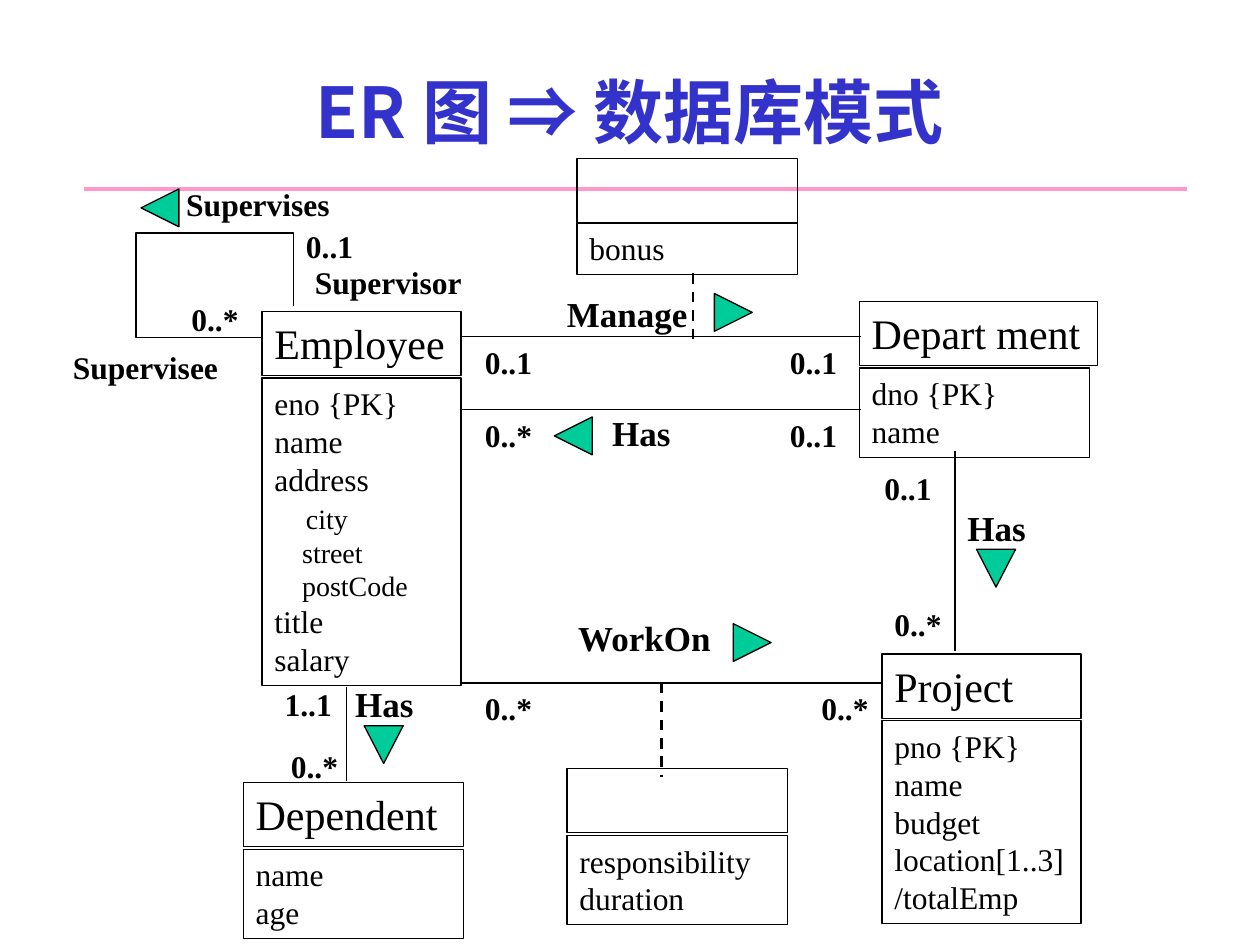
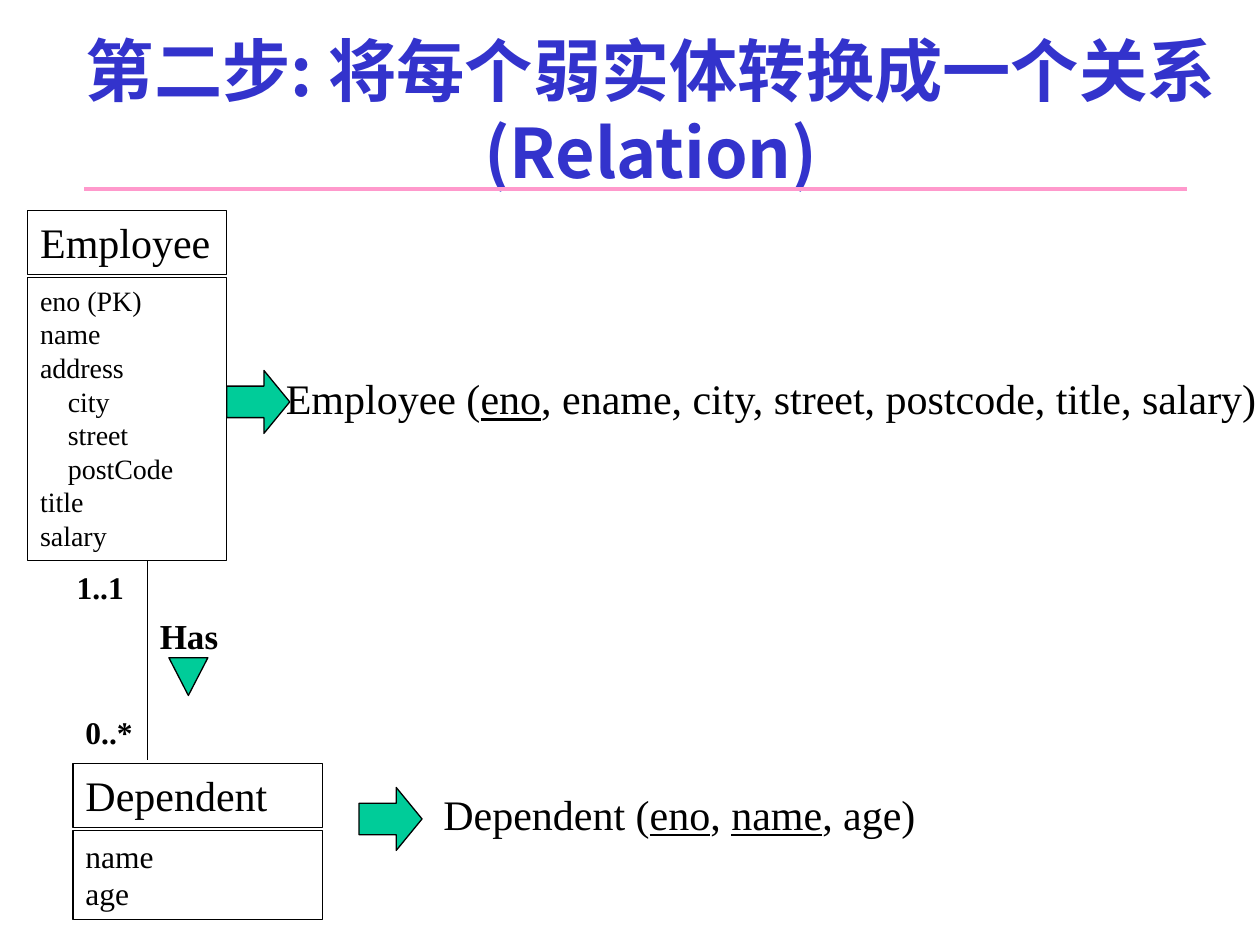
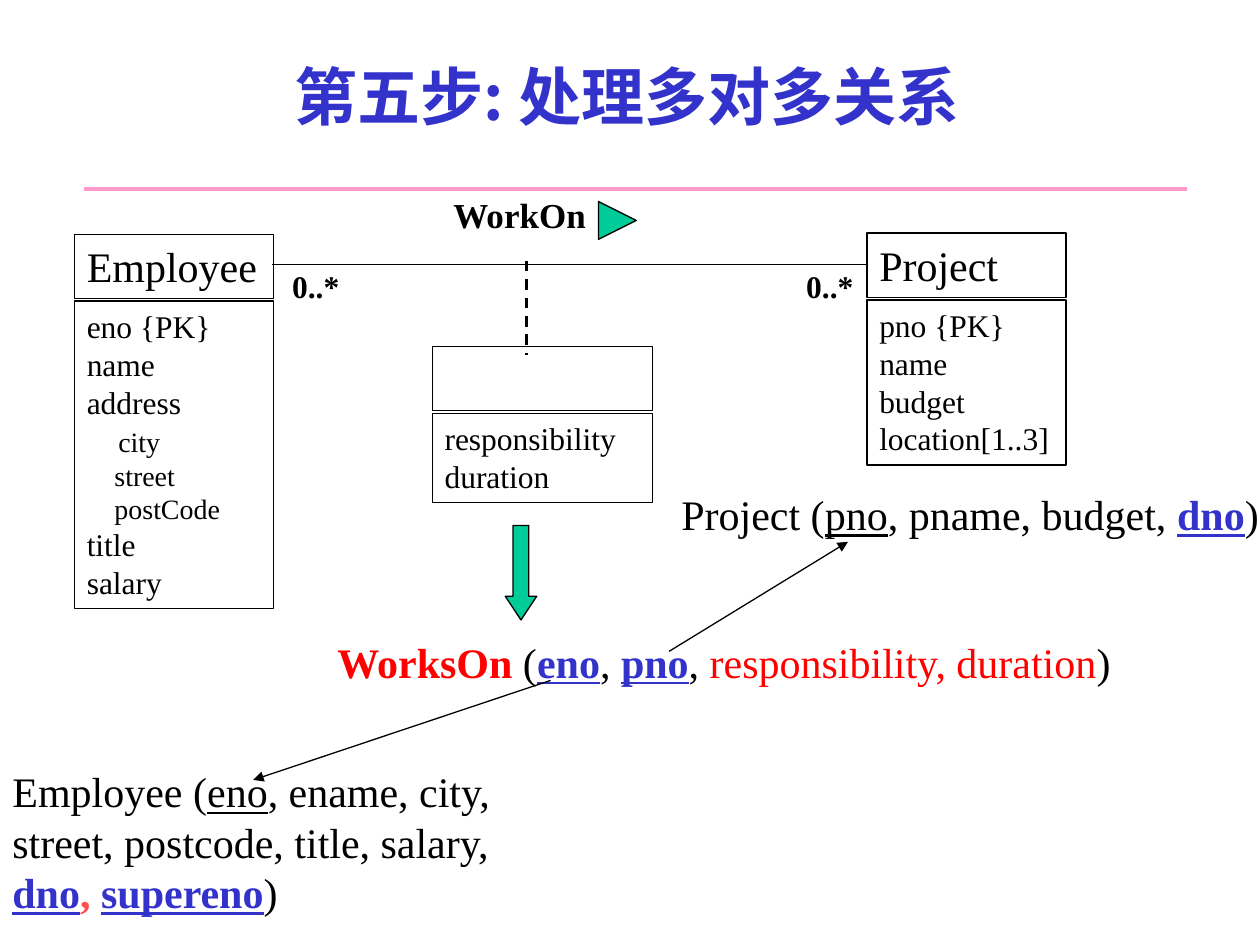
from lxml import etree
from pptx import Presentation
from pptx.dml.color import RGBColor
from pptx.enum.dml import MSO_LINE
from pptx.enum.shapes import MSO_CONNECTOR, MSO_SHAPE
from pptx.enum.text import MSO_ANCHOR, MSO_AUTO_SIZE, PP_ALIGN
from pptx.oxml.ns import qn
from pptx.util import Emu, Pt

PX = 9144
BLACK = RGBColor(0x00, 0x00, 0x00)
BLUE = RGBColor(0x33, 0x33, 0xCC)
PINK = RGBColor(0xFF, 0x99, 0xCC)
GREEN = RGBColor(0x00, 0xCC, 0x99)
RED = RGBColor(0xFF, 0x00, 0x00)
CORAL = RGBColor(0xFF, 0x50, 0x50)
SANS = "Noto Sans CJK SC"
SERIF = "Times New Roman"

RECT = MSO_SHAPE.RECTANGLE
MERGE = MSO_SHAPE.FLOWCHART_MERGE
RIGHT = MSO_SHAPE.RIGHT_ARROW
DOWN = MSO_SHAPE.DOWN_ARROW
STRAIGHT = MSO_CONNECTOR.STRAIGHT
DASH = MSO_LINE.DASH
LEFT = PP_ALIGN.LEFT
CENTER = PP_ALIGN.CENTER
TOP = MSO_ANCHOR.TOP
MIDDLE = MSO_ANCHOR.MIDDLE
GROW = MSO_AUTO_SIZE.SHAPE_TO_FIT_TEXT
FIXED = MSO_AUTO_SIZE.NONE

BASE = {"name": SERIF, "bold": False, "color": BLACK}
HEAD = {"name": SANS, "bold": True, "color": BLUE}
BOLD = {"bold": True}
LINE = {"underline": True}
LINK = {"bold": True, "underline": True, "color": BLUE}
HOT = {"color": RED}
LOUD = {"color": RED, "bold": True}
WARM = {"color": CORAL, "bold": True}

PARTS = ("city", "street", "postCode")
STAFF = ("name", "address", *PARTS, "title", "salary")
PLAN = ("pno {PK}", "name", "budget", "location[1..3]")
KIN = ("name", "age")
WIDE = {"Has": 70, "Manage": 118, "WorkOn": 129,
        "Supervisor": 139, "Supervisee": 137, "Supervises": 136}


def emu(*vals):
    return [Emu(v * PX) for v in vals]


def style(font, vals):
    for key, val in vals.items():
        if key == "color":
            font.color.rgb = val
        else:
            setattr(font, key, val)


def write(shape, paras, wrap=True):
    frame = shape.text_frame
    for key, val in {"word_wrap": wrap, "auto_size": GROW,
                     "vertical_anchor": TOP}.items():
        setattr(frame, key, val)
    for i, (runs, size, dent, lead) in enumerate(paras):
        para = frame.paragraphs[0] if i == 0 else frame.add_paragraph()
        para.alignment = LEFT
        if dent:
            para._p.get_or_add_pPr().set("marL", str(dent * PX))
        if lead:
            para.space_before = Pt(lead)
        for words, look in runs:
            run = para.add_run()
            run.text = words
            style(run.font, {**BASE, "size": Pt(size), **look})


def paint(shape, fill=None):
    shape.shadow.inherit = False
    if fill is None:
        shape.fill.background()
    else:
        shape.fill.solid()
        shape.fill.fore_color.rgb = fill
    shape.line.color.rgb = BLACK
    shape.line.width = Pt(0.75)
    return shape


def block(slide, kind, box, fill=None):
    return paint(slide.shapes.add_shape(kind, *emu(*box)), fill)


def wire(slide, ends, color=BLACK, width=0.75, dash=None, tip=False):
    conn = slide.shapes.add_connector(STRAIGHT, *emu(*ends))
    conn.line.color.rgb = color
    conn.line.width = Pt(width)
    if dash:
        conn.line.dash_style = dash
    props = conn.element.spPr
    if tip:
        etree.SubElement(props.find(qn("a:ln")), qn("a:tailEnd"), type="triangle")
    etree.SubElement(props, qn("a:effectLst"))


def trace(slide, points, close, fill=None):
    pen = slide.shapes.build_freeform(*points[0], scale=PX)
    pen.add_line_segments(points[1:], close=close)
    paint(pen.convert_to_shape(), fill)


def wedge(slide, x, y, left=False):
    base, tip = (x + 30, x) if left else (x, x + 30)
    trace(slide, [(base, y), (tip, y + 15), (base, y + 30)], True, GREEN)


def arrow(slide, kind, box, head):
    shape = block(slide, kind, box, GREEN)
    shape.adjustments[0] = 0.5
    shape.adjustments[1] = head


def label(slide, x, y, words, size=18):
    high = 43 if size == 20 else 40
    box = slide.shapes.add_textbox(*emu(x, y, WIDE.get(words, 58), high))
    write(box, [([(words, BOLD)], size, 0, 0)], False)


def phrase(slide, box, runs, wrap=False):
    write(slide.shapes.add_textbox(*emu(*box)), [(runs, 24, 0, 0)], wrap)


def rows(names, size):
    paras, high = [], 11
    for name in names:
        part = name in PARTS
        first = name == PARTS[0] and size == 18
        dent = (25 if first else 22) if part else 0
        paras.append(([(name, {})], 16 if part else size, dent, 2.3 if first else 0))
        high += 30 if size == 18 and (first or not part) else 26.75
    return paras, round(high)


def entity(slide, x, y, wide, name, names, size=18, gap=53, more=0):
    head = block(slide, RECT, (x, y, wide + more, 51))
    if name:
        write(head, [([(name, {})], 24, 0, 0)])
    paras, high = rows(names, size)
    write(block(slide, RECT, (x, y + gap, wide, high)), paras)


def has(slide, x, y, high, name, top, low):
    wire(slide, (x, y, x, y + high))
    dx, dy = name
    label(slide, x + dx, y + dy, "Has", 20)
    block(slide, MERGE, (x + dx + 17, y + dy + 39, 31, 30), GREEN)
    for words, (dx, dy) in (top, ("0..*", low)):
        label(slide, x + dx, y + dy, words)


def work(slide, x, y, shift):
    entity(slide, x, y, 175, "", ("responsibility", "duration"))
    wire(slide, (x + 75, y - 68, x + 75, y + 7), width=1.5, dash=DASH)
    label(slide, x + shift, y - 126, "WorkOn", 20)
    wedge(slide, x + 132, y - 115)


def loop(slide, x, y):
    trace(slide, [(x + 125, y + 58), (x + 125, y), (x, y), (x, y + 83),
                  (x + 100, y + 83)], False)
    wedge(slide, x + 4, y - 35, True)
    for dx, dy, words in ((30, -43, "Supervises"), (132, 19, "Supervisor"),
                          (-60, 86, "Supervisee"), (125, -10, "0..1"),
                          (34, 48, "0..*")):
        label(slide, x + dx, y + dy, words)


def start(deck, words, box, size):
    slide = deck.slides.add_slide(deck.slide_layouts[5])
    title = slide.shapes.title
    for key, val in zip(("left", "top", "width", "height"), emu(*box)):
        setattr(title, key, val)
    frame = title.text_frame
    for key, val in {"word_wrap": True, "auto_size": FIXED,
                     "vertical_anchor": MIDDLE}.items():
        setattr(frame, key, val)
    para = frame.paragraphs[0]
    para.alignment = CENTER
    run = para.add_run()
    run.text = words
    style(run.font, {**HEAD, "size": Pt(size)})
    for props in title.element.iter(qn("a:rPr")):
        face = etree.Element(qn("a:ea"), typeface=SANS)
        props.find(qn("a:latin")).addnext(face)
    wire(slide, (67, 150, 942, 150), PINK, 2)
    return slide


def schema(deck):
    slide = start(deck, "ER 图 ⇒ 数据库模式", (33, 25, 933, 125), 40)
    entity(slide, 208, 247, 158, "Employee", ("eno {PK}", *STAFF))
    entity(slide, 682, 239, 183, "Depart ment", ("dno {PK}", "name"), more=6)
    entity(slide, 700, 519, 158, "Project", (*PLAN, "/totalEmp"))
    entity(slide, 458, 126, 175, "", ("bonus",), gap=51)
    entity(slide, 193, 621, 175, "Dependent", KIN)
    for ends in ((367, 267, 683, 267), (366, 325, 683, 325), (367, 542, 700, 542)):
        wire(slide, ends)
    wire(slide, (550, 217, 550, 272), width=1.5, dash=DASH)
    label(slide, 440, 227, "Manage", 20)
    label(slide, 476, 322, "Has", 20)
    wedge(slide, 567, 233)
    wedge(slide, 440, 331, True)
    for y, near, x, far in ((267, "0..1", 617, "0..1"), (325, "0..*", 617, "0..1"),
                            (542, "0..*", 642, "0..*")):
        label(slide, 375, y, near)
        label(slide, x, y, far)
    work(slide, 450, 610, -1)
    loop(slide, 108, 185)
    has(slide, 758, 358, 159, (0, 39), ("0..1", (-66, 9)), (-58, 117))
    has(slide, 275, 545, 75, (-3, -8), ("1..1", (-59, -6)), (-54, 43))


def weak(deck):
    slide = start(deck, "第二步: 将每个弱实体转换成一个关系(Relation)",
                  (33, 25, 967, 125), 39)
    entity(slide, 22, 167, 158, "Employee", ("eno (PK)", *STAFF), size=16)
    entity(slide, 58, 606, 198, "Dependent", KIN)
    has(slide, 117, 445, 158, (0, 38), ("1..1", (-66, 1)), (-59, 116))
    phrase(slide, (217, 291, 792, 50),
           [("Employee (", {}), ("eno", LINE),
            (", ename, city, street, postcode, title, salary)", {})])
    phrase(slide, (342, 621, 395, 50),
           [("Dependent (", {}), ("eno", LINE), (", ", {}), ("name", LINE),
            (", age)", {})])
    for x, y in ((180, 294), (285, 625)):
        arrow(slide, RIGHT, (x, y, 50, 50), 0.41)


def many(deck):
    slide = start(deck, "第五步: 处理多对多关系", (14, 13, 967, 125), 36)
    entity(slide, 59, 186, 158, "Employee", ("eno {PK}", *STAFF))
    entity(slide, 688, 185, 158, "Project", PLAN)
    wire(slide, (216, 210, 689, 210))
    work(slide, 343, 275, 7)
    for x in (222, 630):
        label(slide, x, 207, "0..*")
    phrase(slide, (258, 500, 638, 50),
           [("WorksOn", LOUD), (" (", {}), ("eno", LINK), (", ", {}),
            ("pno", LINK), (", ", {}), ("responsibility, duration", HOT), (")", {})])
    phrase(slide, (531, 383, 480, 50),
           [("Project (", {}), ("pno", LINE), (", pname, budget, ", {}),
            ("dno", LINK), (")", {})])
    phrase(slide, (0, 603, 452, 130),
           [("Employee (", {}), ("eno", LINE),
            (", ename, city, street, postcode, title, salary, ", {}),
            ("dno", LINK), (", ", WARM), ("supereno", LINK), (")", {})], True)
    arrow(slide, DOWN, (401, 417, 25, 75), 0.75)
    for ends in ((437, 540, 201, 619), (531, 517, 673, 430)):
        wire(slide, ends, tip=True)


def main():
    deck = Presentation()
    deck.slide_width, deck.slide_height = emu(1000, 750)
    for build in (schema, weak, many):
        build(deck)
    deck.save("out.pptx")


if __name__ == "__main__":
    main()
